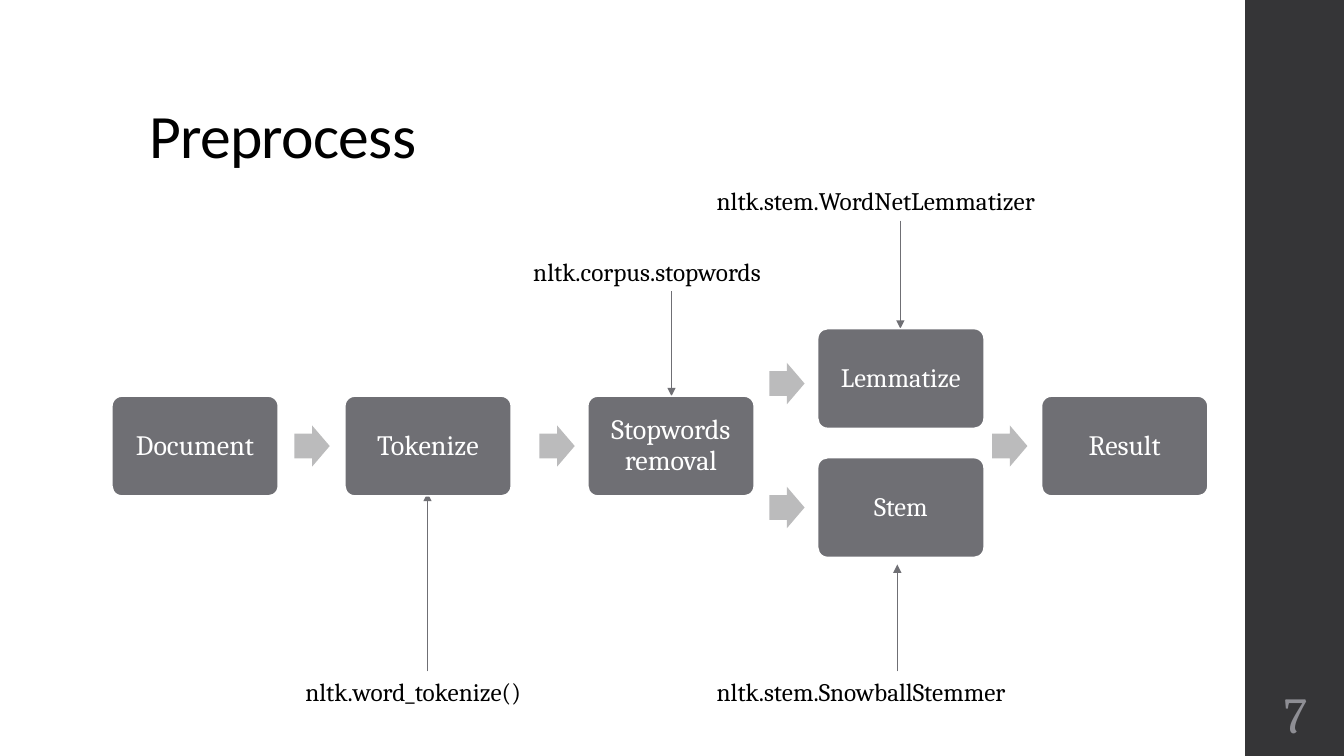
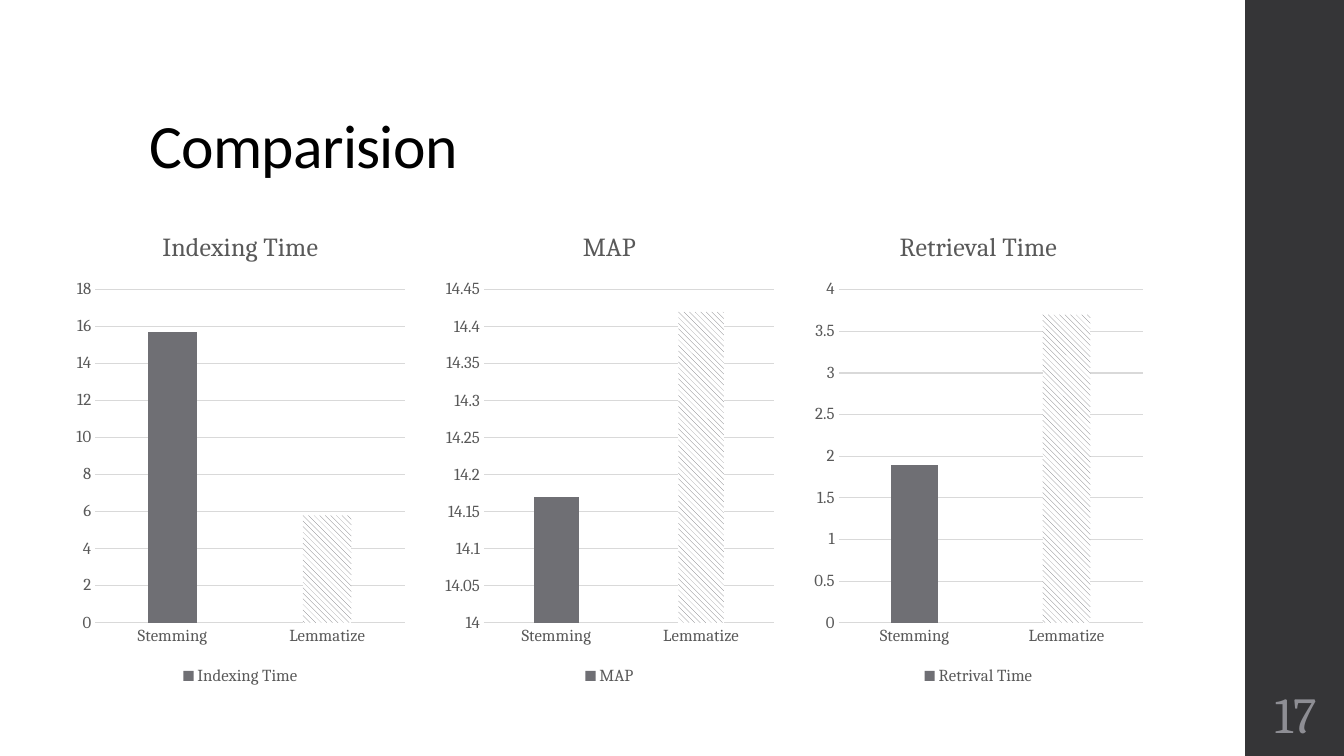
from collections import namedtuple
from dataclasses import dataclass

from lxml.etree import SubElement
from pptx import Presentation
from pptx.chart.data import CategoryChartData
from pptx.dml.color import RGBColor
from pptx.enum.chart import XL_CHART_TYPE as ChartType, XL_LEGEND_POSITION as LegendSide
from pptx.enum.chart import XL_TICK_MARK as Tick
from pptx.enum.dml import MSO_PATTERN as Pattern
from pptx.enum.shapes import MSO_CONNECTOR as Connector, MSO_SHAPE as Preset
from pptx.enum.text import MSO_ANCHOR as Anchor, MSO_AUTO_SIZE as AutoSize, PP_ALIGN as Align
from pptx.oxml.ns import qn
from pptx.util import Inches, Pt

Box = namedtuple("Box", "left top width height")


@dataclass(frozen=True)
class Theme:
    heading: str = "Calibri"
    body: str = "Cambria"
    black: RGBColor = RGBColor(0, 0, 0)
    white: RGBColor = RGBColor(255, 255, 255)
    band: RGBColor = RGBColor.from_string("353537")
    accent: RGBColor = RGBColor.from_string("6F6F74")
    arrow: RGBColor = RGBColor.from_string("BBBBBC")
    number: RGBColor = RGBColor.from_string("8E8E94")
    chart_text: RGBColor = RGBColor.from_string("595959")
    grid: RGBColor = RGBColor.from_string("D9D9D9")
    title_size: float = 44
    number_size: float = 36
    step_size: float = 20
    branch_size: float = 19
    label_size: float = 18
    chart_title_size: float = 18.6
    axis_size: float = 12


THEME = Theme()
BAND = Box(12.35, 0, 1, 7.5)


def apply(target, **values):
    for name, value in values.items():
        setattr(target, name, value)


def style_font(font, size, color, name=THEME.body):
    apply(font, size=Pt(size), name=name)
    font.color.rgb = color


def inches(box):
    return [Inches(value) for value in box]


def write(holder, text, size, color, align=Align.LEFT, margin=None, **frame_values):
    frame = holder.text_frame
    apply(frame, text=text, word_wrap=True, **frame_values)
    if margin is not None:
        for side in ("left", "top", "right", "bottom"):
            setattr(frame, f"margin_{side}", Inches(margin))
    frame.paragraphs[0].alignment = align
    style_font(frame.paragraphs[0].runs[0].font, size, color)
    return frame.paragraphs[0]


def add_preset(slide, preset, box, fill, adjustments=()):
    shape = slide.shapes.add_shape(preset, *inches(box))
    shape.shadow.inherit = False
    shape.fill.solid()
    shape.fill.fore_color.rgb = fill
    shape.line.fill.background()
    for index, value in enumerate(adjustments):
        shape.adjustments[index] = value
    return shape


# Shared parts: title, side band, page number
def add_band(slide):
    band = add_preset(slide, Preset.RECTANGLE, BAND, THEME.band)
    slide.slide_layout.shapes.element.append(band.element)


def add_title(slide, text, box):
    title = slide.shapes.title
    left, top, width, height = inches(box)
    apply(title, left=left, top=top, width=width, height=height)
    line = write(title, text, THEME.title_size, THEME.black,
                 vertical_anchor=Anchor.BOTTOM, auto_size=AutoSize.NONE)
    line.line_spacing = 0.9
    font = line.runs[0].font
    font.name = THEME.heading
    font._element.set("spc", "-50")


def add_page_number(slide, number, band):
    box = Box(band.left, band.top + 6.75, band.width, 0.65)
    holder = slide.shapes.add_textbox(*inches(box))
    write(holder, str(number), THEME.number_size, THEME.number, Align.CENTER,
          margin=0.05, vertical_anchor=Anchor.MIDDLE)


def new_slide(deck, title, title_top, number):
    slide = deck.slides.add_slide(deck.slide_layouts[5])
    add_title(slide, title, Box(1.38, title_top, 10.6, 1.45))
    add_page_number(slide, number, BAND)
    return slide


# Preprocessing flow
def add_step(slide, text, box, size):
    step = add_preset(slide, Preset.ROUNDED_RECTANGLE, box, THEME.accent, [0.1])
    step.line.color.rgb = THEME.white
    step.line.width = Pt(1.1)
    line = write(step, text, size, THEME.white, Align.CENTER, margin=0.1,
                 vertical_anchor=Anchor.MIDDLE)
    line.line_spacing = 0.9


def add_callout(slide, text, box, x, start, end):
    label = slide.shapes.add_textbox(*inches(box))
    write(label, text, THEME.label_size, THEME.black)
    pointer = slide.shapes.add_connector(Connector.STRAIGHT, *inches((x, start, x, end)))
    pointer.line.color.rgb = THEME.accent
    pointer.line.width = Pt(0.75)
    properties = pointer.element.spPr
    SubElement(properties.find(qn("a:ln")), qn("a:tailEnd"), type="triangle")
    SubElement(properties, qn("a:effectLst"))


def add_flow(slide, area):
    step_width, step_height = 1.65, 0.99
    upper, middle, lower = (area.top + offset for offset in (1.47, 2.14, 2.75))
    label_bottom = area.top + 4.87

    # Library names with pointers: text, left, top, width, pointer x, start, end
    callouts = [
        ("nltk.word_tokenize()", 1.82, label_bottom, 2.62, 3.13, label_bottom, 4.89),
        ("nltk.corpus.stopwords", 4.08, area.top + 0.7, 2.95, 5.55, area.top + 1.1, middle),
        ("nltk.stem.WordNetLemmatizer", 5.9, area.top, 3.84, 7.82, area.top + 0.4, upper),
        ("nltk.stem.SnowballStemmer", 5.9, label_bottom, 3.84, 7.79, label_bottom, 5.6),
    ]
    for text, left, top, width, x, start, end in callouts:
        add_callout(slide, text, Box(area.left + left, top, width, 0.4),
                    area.left + x, start, end)

    # Steps
    steps = [
        ("Document", 0, middle, THEME.step_size),
        ("Tokenize", 2.31, middle, THEME.step_size),
        ("Stopwords removal", 4.72, middle, THEME.step_size),
        ("Lemmatize", 7, upper, THEME.branch_size),
        ("Stem", 7, lower, THEME.branch_size),
        ("Result", 9.22, middle, THEME.step_size),
    ]
    for text, left, top, size in steps:
        add_step(slide, text, Box(area.left + left, top, step_width, step_height), size)

    # Block arrows between steps
    for left, top in [(1.81, 2.43), (4.24, 2.43), (6.52, 1.81), (6.52, 3.04), (8.73, 2.43)]:
        add_preset(slide, Preset.RIGHT_ARROW,
                   Box(area.left + left, area.top + top, 0.35, 0.41),
                   THEME.arrow, [0.6, 0.5])


# Comparison charts
def add_comparison(slide, box, title, series_name, values, low, high, unit):
    data = CategoryChartData()
    data.categories = ["Stemming", "Lemmatize"]
    data.add_series(series_name, values)
    chart = slide.shapes.add_chart(ChartType.COLUMN_CLUSTERED, *inches(box), data).chart
    style_font(chart.font, THEME.axis_size, THEME.chart_text)

    apply(chart, has_title=True, has_legend=True)
    heading = chart.chart_title
    heading.include_in_layout = False
    heading.text_frame.text = title
    heading_font = heading.text_frame.paragraphs[0].runs[0].font
    style_font(heading_font, THEME.chart_title_size, THEME.chart_text)
    heading_font.bold = False
    apply(chart.legend, position=LegendSide.BOTTOM, include_in_layout=False)
    style_font(chart.legend.font, THEME.axis_size, THEME.chart_text)

    categories, scale = chart.category_axis, chart.value_axis
    for axis in (categories, scale):
        apply(axis, major_tick_mark=Tick.NONE, minor_tick_mark=Tick.NONE)
        style_font(axis.tick_labels.font, THEME.axis_size, THEME.chart_text)
    apply(scale, minimum_scale=low, maximum_scale=high, major_unit=unit,
          has_major_gridlines=True)
    apply(scale.tick_labels, number_format="General", number_format_is_linked=False)
    scale.format.line.fill.background()
    for rule in (categories.format.line, scale.major_gridlines.format.line):
        rule.color.rgb = THEME.grid
        rule.width = Pt(0.75)

    plot = chart.plots[0]
    apply(plot, gap_width=219, overlap=-27, vary_by_categories=False)
    columns = plot.series[0]
    columns.format.fill.solid()
    columns.format.fill.fore_color.rgb = THEME.accent
    hatch = columns.points[1].format.fill
    hatch.patterned()
    hatch.pattern = Pattern.WIDE_DOWNWARD_DIAGONAL
    hatch.fore_color.rgb = THEME.accent
    hatch.back_color.rgb = THEME.white


def add_comparisons(slide, area):
    measures = [
        ("Indexing Time", "Indexing Time", (15.7, 5.8), 0, 18, 2),
        ("MAP", "MAP", (14.17, 14.42), 14, 14.45, 0.05),
        ("Retrieval Time", "Retrival Time", (1.9, 3.7), 0, 4, 0.5),
    ]
    width = 3.39
    pitch = (area.width - width) / (len(measures) - 1)
    for index, measure in enumerate(measures):
        box = Box(area.left + index * pitch, area.top, width, area.height)
        add_comparison(slide, box, *measure)


def main():
    deck = Presentation()
    apply(deck, slide_width=Inches(13.33), slide_height=Inches(7.5))

    preprocess = new_slide(deck, "Preprocess", 0.3, 7)
    add_band(preprocess)
    add_flow(preprocess, Box(1.11, 1.79, 10.87, 5.27))

    comparison = new_slide(deck, "Comparision", 0.4, 17)
    add_comparisons(comparison, Box(0.69, 2.08, 10.71, 4.76))

    deck.save("out.pptx")


main()
